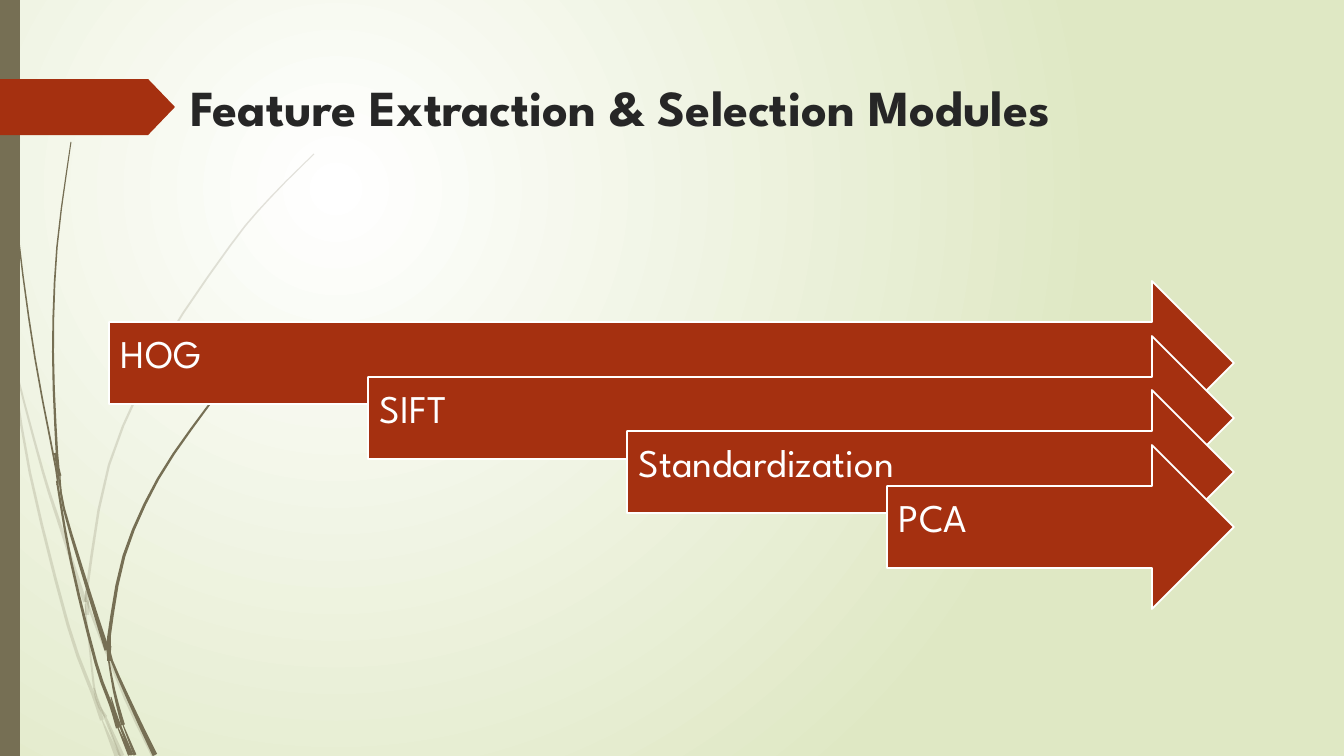
from math import hypot

from lxml import etree
from pptx import Presentation
from pptx import util as u
from pptx.dml.color import RGBColor
from pptx.enum import shapes, text
from pptx.oxml.ns import qn

SLIDE_W, SLIDE_H = 1344, 756
EMU_PER_PX = 12192000 / SLIDE_W
FONT = "League Spartan"
COLORS = {
    "glow": "FFFFFF",
    "meadow": "DFE8C4",
    "stem": "766F54",
    "rust": "A53010",
    "white": "FFFFFF",
    "ink": "262626",
}

# Sections of the grass stems: start width, end width, centre line
PALE_STEMS = [
    (3, 1, [(1, 293), (11, 353)]),
    (1, 4, [(14, 348), (16, 370), (43, 472), (60, 525), (85, 602)]),
    (1, 5, [(89, 602), (91, 613), (126, 699), (154, 756)]),
    (1, 5, [(106, 717), (122, 756)]),
    (2, 4, [(11, 353), (30, 473), (68, 625), (93, 694), (102, 720)]),
    (1, 3, [(85, 604), (90, 651), (96, 698), (106, 717)]),
    (1, 3, [(314, 154), (270, 198), (230, 246), (160, 351), (109, 465),
            (87, 589), (87, 600)]),
    (1, 5, [(102, 720), (117, 756)]),
    (4, 4, [(87, 591), (87, 615)]),
    (1, 2, [(94, 688), (103, 713), (120, 756)]),
]
DARK_STEMS = [
    (1, 2, [(4, 0), (8, 110), (18, 234), (35, 358), (56, 469), (57, 485)]),
    (1, 5, [(60, 476), (64, 509), (90, 596), (107, 650)]),
    (1, 5, [(111, 646), (112, 661), (135, 713), (155, 755)]),
    (2, 4, [(57, 481), (71, 561), (96, 663), (111, 705), (118, 728)]),
    (1, 3, [(71, 142), (57, 247), (53, 352), (57, 454), (60, 476)]),
    (1, 3, [(123, 725), (135, 755)]),
    (2, 1, [(55, 453), (59, 479), (64, 509)]),
    (1, 4, [(263, 347), (233, 376), (206, 409), (158, 479), (124, 556),
            (109, 637), (110, 646)]),
    (1, 4, [(118, 728), (130, 755)]),
    (1, 4, [(107, 650), (114, 690), (123, 725)]),
    (4, 4, [(109, 636), (109, 661)]),
    (1, 3, [(111, 697), (118, 720), (132, 755)]),
]
MODULES = ["HOG", "SIFT", "Standardization", "PCA"]


def px(length):
    return u.Emu(round(length * EMU_PER_PX))


def color(name):
    return RGBColor.from_string(COLORS[name])


def paint(shape, fill, line=None, alpha=None):
    shape.shadow.inherit = False
    shape.fill.solid()
    shape.fill.fore_color.rgb = color(fill)
    if alpha:
        tint = shape.fill._xPr.find(".//" + qn("a:srgbClr"))
        etree.SubElement(tint, qn("a:alpha"), val=str(alpha * 1000))
    if line:
        shape.line.color.rgb = color(line)
        shape.line.width = u.Pt(1.25)
    else:
        shape.line.fill.background()


def add_preset(slide, kind, box, fill, line=None):
    shape = slide.shapes.add_shape(kind, *map(px, box))
    paint(shape, fill, line)
    return shape


def put_text(frame, words, size, ink, bold=False, insets=(10, 5, 10, 5),
             spacing=1.0, anchor=text.MSO_ANCHOR.MIDDLE):
    frame.word_wrap = True
    frame.auto_size = text.MSO_AUTO_SIZE.NONE
    frame.vertical_anchor = anchor
    (frame.margin_left, frame.margin_top,
     frame.margin_right, frame.margin_bottom) = map(px, insets)
    paragraph = frame.paragraphs[0]
    paragraph.alignment = text.PP_ALIGN.LEFT
    paragraph.line_spacing = spacing
    run = paragraph.add_run()
    run.text = words
    run.font.name = FONT
    run.font.size = u.Pt(size)
    run.font.bold = bold
    run.font.color.rgb = color(ink)


def smooth(points, steps=3):
    """Catmull-Rom curve through the points."""
    if len(points) == 2:
        return points
    ends = [points[0], *points, points[-1]]
    curve = []
    for a, b, c, d in zip(ends, ends[1:], ends[2:], ends[3:]):
        for step in range(steps):
            t = step / steps
            curve.append(tuple(
                (2 * q + (r - p) * t + (2 * p - 5 * q + 4 * r - s) * t ** 2
                 + (3 * q - p - 3 * r + s) * t ** 3) / 2
                for p, q, r, s in zip(a, b, c, d)))
    return curve + [points[-1]]


def add_stem(slide, start, end, points, alpha=None):
    """A blade whose width changes evenly along its centre line."""
    curve = smooth(points)
    last = len(curve) - 1
    left, right = [], []
    for i, (x, y) in enumerate(curve):
        (x0, y0), (x1, y1) = curve[max(i - 1, 0)], curve[min(i + 1, last)]
        half = (start + (end - start) * i / last) / 2 / hypot(x1 - x0, y1 - y0)
        dx, dy = (y1 - y0) * half, (x0 - x1) * half
        left.append((px(x + dx), px(y + dy)))
        right.append((px(x - dx), px(y - dy)))
    outline = left + right[::-1]
    builder = slide.shapes.build_freeform(*outline[0], scale=1.0)
    builder.add_line_segments(outline[1:], close=True)
    paint(builder.convert_to_shape(), "stem", alpha=alpha)


def set_background(slide):
    fill = slide.background.fill
    fill.gradient()
    for stop, name in zip(fill.gradient_stops, ("glow", "meadow")):
        stop.color.rgb = color(name)
    gradient = slide.element.find(".//" + qn("a:gradFill"))
    gradient.remove(gradient.find(qn("a:lin")))
    circle = etree.SubElement(gradient, qn("a:path"), path="circle")
    etree.SubElement(circle, qn("a:fillToRect"),
                     l="50000", t="50000", r="100000", b="100000")


def add_module(slide, index, name):
    left, top = 109 + 778 * index // 3, 281 + (109 * index + 1) // 2
    width, height = 1234 - left, 164
    add_preset(slide, shapes.MSO_SHAPE.RIGHT_ARROW,
               (left, top, width, height), "rust", "white")
    label = slide.shapes.add_textbox(
        *map(px, (left, top + 41, width - 41, 82)))
    put_text(label.text_frame, name, size=28, ink="white",
             insets=(12, 12, 28, 26), spacing=0.9)


def main():
    deck = Presentation()
    deck.slide_width, deck.slide_height = px(SLIDE_W), px(SLIDE_H)
    slide = deck.slides.add_slide(deck.slide_layouts[5])

    # Backdrop: glow, grass stems, side bar and title tab
    set_background(slide)
    for stem in PALE_STEMS:
        add_stem(slide, *stem, alpha=20)
    for stem in DARK_STEMS:
        add_stem(slide, *stem)
    add_preset(slide, shapes.MSO_SHAPE.RECTANGLE, (0, 0, 20, SLIDE_H), "stem")
    tab = add_preset(slide, shapes.MSO_SHAPE.PENTAGON, (0, 79, 175, 56), "rust")
    tab.adjustments[0] = 0.48

    # Title
    title = slide.shapes.title
    title.left, title.top, title.width, title.height = map(
        px, (180, 71, 983, 87))
    put_text(title.text_frame, "Feature Extraction & Selection Modules",
             size=36, ink="ink", bold=True, anchor=text.MSO_ANCHOR.TOP)

    # Staggered module arrows
    for index, name in enumerate(MODULES):
        add_module(slide, index, name)

    deck.save("out.pptx")


if __name__ == "__main__":
    main()
